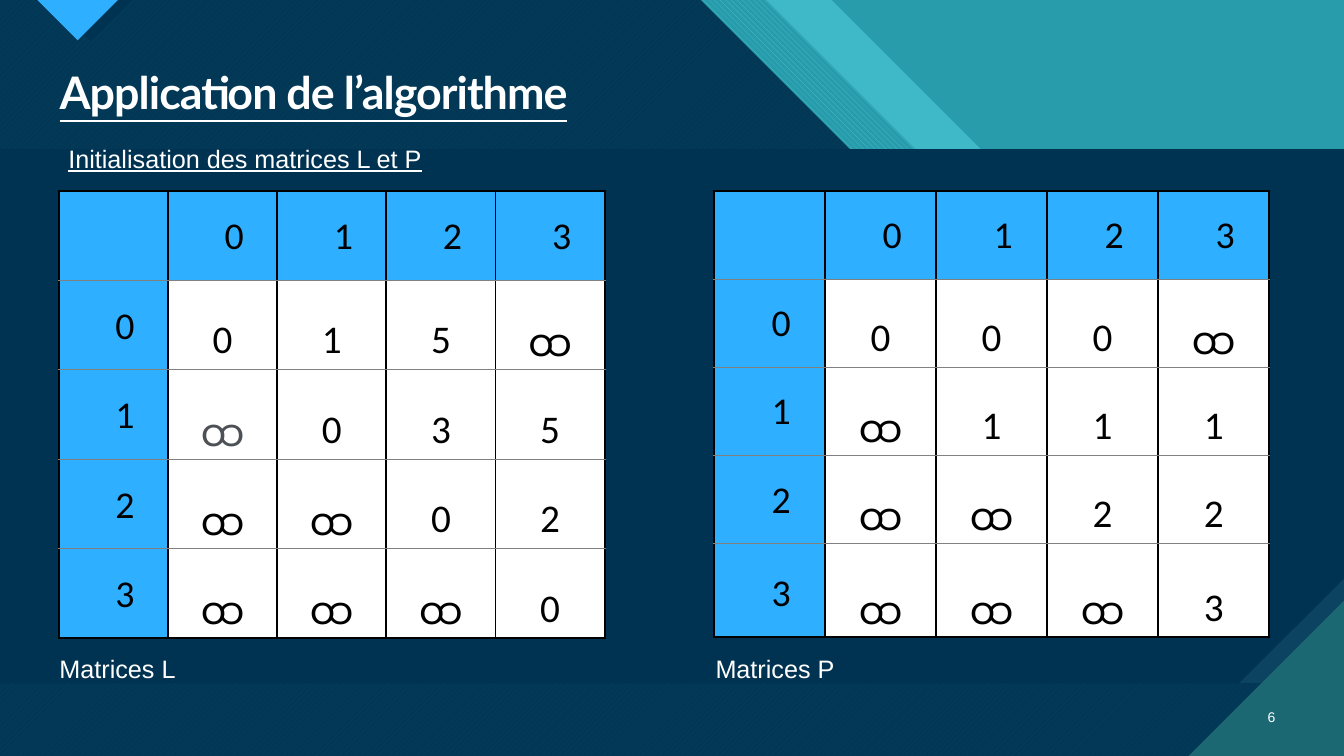
from lxml.etree import SubElement
from pptx import Presentation
from pptx.dml.color import RGBColor
from pptx.enum.dml import MSO_PATTERN
from pptx.enum.text import MSO_ANCHOR, PP_ALIGN
from pptx.oxml import parse_xml
from pptx.oxml.ns import qn
from pptx.util import Emu, Inches, Pt

COLS, ROWS = 32, 18
WIDTH, HEIGHT = Inches(13.333), Inches(7.5)
NS = "http://schemas.openxmlformats.org/drawingml/2006/main"
NAVY, TEAL, CYAN, BLUE = "003352", "299CAB", "47C3D3", "2FAFFF"
DARK_TEAL, STEEL = "1B6872", "0C4360"
WHITE, BLACK, GREY, DIM = "FFFFFF", "000000", "808080", "4D5156"
INF = "ထ"


def rgb(color):
    return RGBColor.from_string(color)


class SlideBuilder:
    """Style and current slide; lengths are columns and rows of the grid."""

    def __init__(self, prs):
        self.s = prs.slides.add_slide(prs.slide_layouts[5])
        self.heading_font, self.text_font, self.table_font = "Lato", "Arial", "Calibri"

    def x(self, cols):
        return Emu(round(WIDTH * cols / COLS))

    def y(self, rows):
        return Emu(round(HEIGHT * rows / ROWS))

    def box(self, x, y, w, h):
        return self.x(x), self.y(y), self.x(w), self.y(h)

    def background(self, color):
        fill = self.s.background.fill
        fill.solid()
        fill.fore_color.rgb = rgb(color)

    def polygon(self, points, color, alpha=None, pattern=None, back=None):
        start, *rest = [(self.x(x), self.y(y)) for x, y in points]
        builder = self.s.shapes.build_freeform(*start, scale=1.0)
        builder.add_line_segments(rest, close=True)
        sp = builder.convert_to_shape()
        sp.shadow.inherit = False
        sp.line.fill.background()
        if pattern:
            sp.fill.patterned()
            sp.fill.pattern = pattern
            sp.fill.back_color.rgb = rgb(back)
        else:
            sp.fill.solid()
        sp.fill.fore_color.rgb = rgb(color)
        if alpha:
            clr = sp.element.spPr.find(qn("a:solidFill"))[0]
            SubElement(clr, qn("a:alpha"), val=str(alpha * 1000))

    def run(self, p, text, size, font, color, bold=None, underline=None):
        r = p.add_run()
        r.text = text
        r.font.size, r.font.name = Pt(size), font
        r.font.color.rgb = rgb(color)
        r.font.bold, r.font.underline = bold, underline
        return r

    def title(self, text, *box):
        sp = self.s.shapes.title
        sp.element.getparent().append(sp.element)  # in front of the backdrop
        sp.left, sp.top, sp.width, sp.height = self.box(*box)
        tf = sp.text_frame
        tf.vertical_anchor = MSO_ANCHOR.TOP
        p = tf.paragraphs[0]
        p.alignment, p.line_spacing = PP_ALIGN.LEFT, 0.9
        r = self.run(p, text, 32, self.heading_font, WHITE, True, True)
        r.font._element.set("spc", "-70")

    def text(self, text, *box, size=18, underline=None, align=PP_ALIGN.LEFT,
             anchor=MSO_ANCHOR.TOP, after=0):
        tf = self.s.shapes.add_textbox(*self.box(*box)).text_frame
        tf.word_wrap, tf.vertical_anchor = True, anchor
        p = tf.paragraphs[0]
        p.alignment, p.space_after = align, Pt(after)
        self.run(p, text, size, self.text_font, WHITE, underline=underline)

    def borders(self, cell, first, last):
        edges = {"L": (BLACK, 1.5), "R": (BLACK, 1.5),
                 "T": (BLACK, 1.5) if first else (GREY, 0.5),
                 "B": (BLACK, 1.5) if last else (GREY, 0.5)}
        tc_pr = cell._tc.get_or_add_tcPr()
        for i, (side, (color, width)) in enumerate(edges.items()):
            tc_pr.insert(i, parse_xml(
                f'<a:ln{side} xmlns:a="{NS}" w="{Pt(width)}"><a:solidFill>'
                f'<a:srgbClr val="{color}"/></a:solidFill></a:ln{side}>'))

    def matrix(self, values, x, y, w, heights, dimmed=()):
        n = len(values) + 1
        header = ["", *map(str, range(n - 1))]
        rows = [header] + [[str(i), *row] for i, row in enumerate(values)]
        frame = self.s.shapes.add_table(n, n, *self.box(x, y, w, sum(heights)))
        table = frame.table
        table.first_row = table.horz_banding = False
        for i, row in enumerate(rows):
            table.rows[i].height = self.y(heights[i])
            table.columns[i].width = self.x(w / n)
            for j, value in enumerate(row):
                cell, head = table.cell(i, j), i == 0 or j == 0
                cell.fill.solid()
                cell.fill.fore_color.rgb = rgb(BLUE if head else WHITE)
                self.borders(cell, i == 0, i == n - 1)
                cell.vertical_anchor = MSO_ANCHOR.BOTTOM
                margins = (0.25, 0.2, 0.02, 0.2) if head else (0.01, 0.01, 0.01, 0.05)
                (cell.margin_left, cell.margin_top, cell.margin_right,
                 cell.margin_bottom) = map(Inches, margins)
                p = cell.text_frame.paragraphs[0]
                p.alignment = PP_ALIGN.CENTER
                if value:
                    dim = (i, j) in dimmed
                    self.run(p, value, 27 if head else 28,
                             self.text_font if dim else self.table_font,
                             DIM if dim else BLACK)


def diagonal_band(x):
    """Area left of a 45 degree edge that starts at column x of the top."""
    step, shelf = 7.13, 10.15
    return [(0, 0), (x, 0), (x + step, step), (x + shelf, step),
            (COLS, COLS - x - shelf + step), (COLS, ROWS), (0, ROWS)]


def main():
    prs = Presentation()
    prs.slide_width, prs.slide_height = WIDTH, HEIGHT
    b = SlideBuilder(prs)

    # Diagonal backdrop
    b.background(TEAL)
    b.polygon(diagonal_band(19.8), CYAN, alpha=74)
    b.polygon(diagonal_band(18.24), CYAN,
              pattern=MSO_PATTERN.WIDE_DOWNWARD_DIAGONAL, back=TEAL)
    b.polygon(diagonal_band(16.68), CYAN,
              pattern=MSO_PATTERN.WIDE_UPWARD_DIAGONAL, back=DARK_TEAL)
    b.polygon(diagonal_band(16.68), NAVY, alpha=90)

    # Content panel with a cut corner
    top, bottom, cut, corner = 3.55, 16.27, 2.5, 3.7
    b.polygon([(0, top), (COLS, top), (COLS, bottom), (0, bottom)], STEEL)
    b.polygon([(0, top), (COLS, top), (COLS, bottom - cut),
               (COLS - cut, bottom), (0, bottom)], NAVY)

    # Corner triangles
    b.polygon([(1.15, 0), (3.14, 0), (2.16, 0.98)], NAVY)
    b.polygon([(0.89, 0), (2.81, 0), (1.85, 0.96)], BLUE)
    b.polygon([(COLS - corner, ROWS), (COLS, ROWS), (COLS, ROWS - corner)], DARK_TEAL)

    # Title and labels
    b.title("Application de l’algorithme", 1.18, 1.56, 29.42, 2.57)
    b.text("Initialisation des matrices L et P", 1.39, 3.29, 13.6, 0.96, underline=True)
    b.text("Matrices L", 1.18, 15.43, 13.6, 0.96)
    b.text("Matrices P", 16.8, 15.43, 13.6, 0.96)
    b.text("6", 29.54, 16.58, 1.06, 0.96, size=10, align=PP_ALIGN.RIGHT,
           anchor=MSO_ANCHOR.MIDDLE, after=6)

    # Matrices
    p_values = [["0", "0", "0", INF], [INF, "1", "1", "1"],
                [INF, INF, "2", "2"], [INF, INF, INF, "3"]]
    l_values = [["0", "1", "5", INF], [INF, "0", "3", "5"],
                [INF, INF, "0", "2"], [INF, INF, INF, "0"]]
    b.matrix(p_values, 17, 4.54, 13.22, [2.1] * 4 + [2.23])
    b.matrix(l_values, 1.4, 4.54, 13, [2.13] * 5, dimmed={(2, 1)})

    prs.save("out.pptx")


if __name__ == "__main__":
    main()
